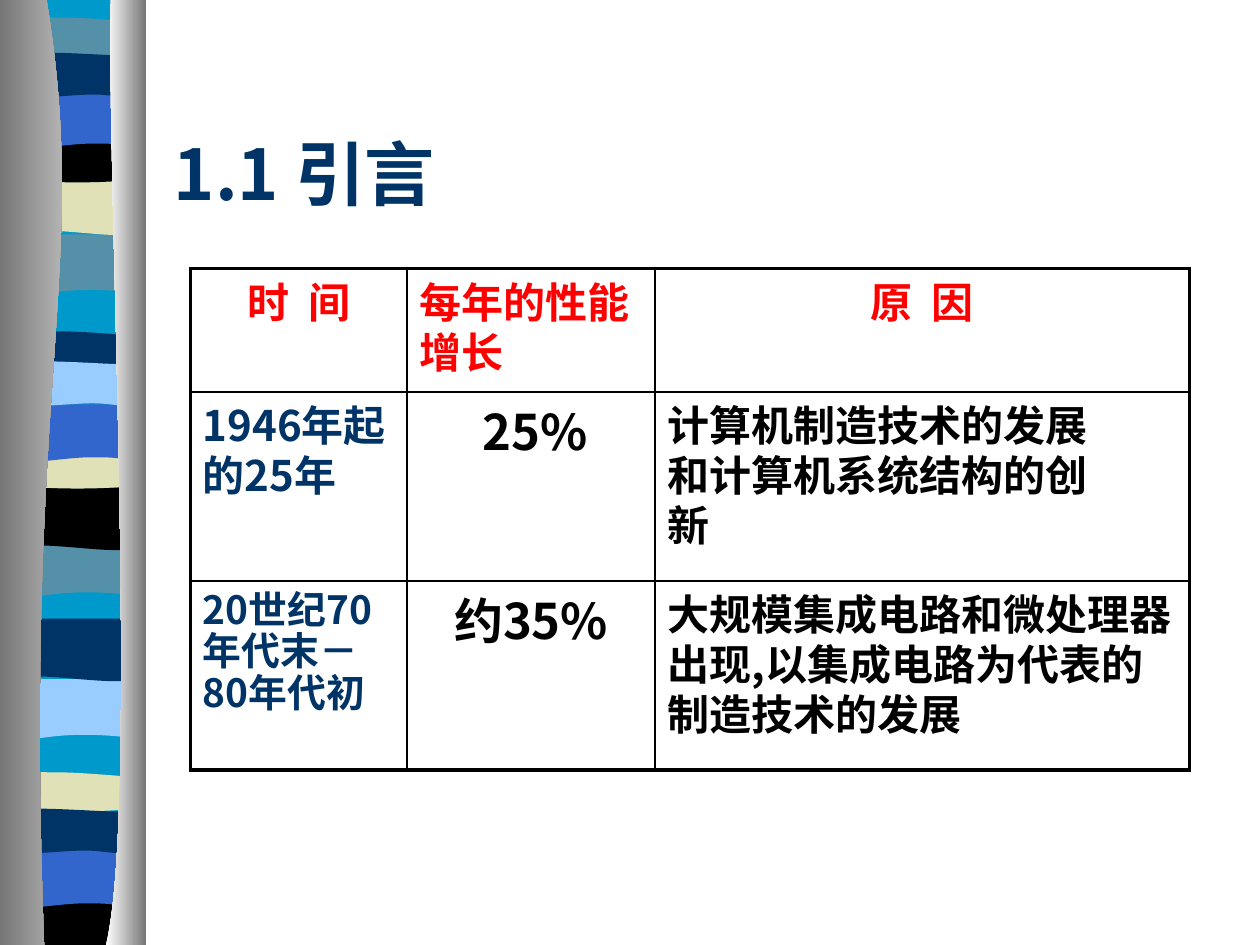
from lxml.etree import SubElement
from pptx import Presentation
from pptx.dml.color import RGBColor
from pptx.enum.text import MSO_ANCHOR, PP_ALIGN
from pptx.oxml import parse_xml
from pptx.oxml.ns import nsdecls, qn
from pptx.util import Inches, Pt

NAVY = RGBColor(0x00, 0x33, 0x66)
BLUE = RGBColor(0x33, 0x66, 0xCC)
CYAN = RGBColor(0x00, 0x99, 0xCC)
TEAL = RGBColor(0x54, 0x90, 0xA8)
SKY = RGBColor(0x99, 0xCC, 0xFF)
SAND = RGBColor(0xE1, 0xE1, 0xB7)
BLACK = RGBColor(0x00, 0x00, 0x00)
WHITE = RGBColor(0xFF, 0xFF, 0xFF)
GRAY = RGBColor(0x76, 0x76, 0x76)
SILVER = RGBColor(0xD0, 0xD0, 0xD0)
RED = RGBColor(0xFF, 0x00, 0x00)

SANS = "Noto Sans CJK SC"
ARIAL = "Arial"
LEFT, MID = PP_ALIGN.LEFT, PP_ALIGN.CENTER

# Outlines: a pair is a corner, six numbers are a Bezier curve.
SWELL = [(1.03, 0), (1.03, .47), (.32, .38, .17, .54, 0, .47), (0, 0)]
DIP = [(1.02, 0), (1.02, .47), (.85, .55, .31, .42, 0, .47), (0, 0)]
LENS = [(1.02, 0), (1.02, .24), (.85, .28, .17, .28, 0, .24), (0, 0),
        (.07, -.05, .22, -.04, .39, -.04), (.56, -.04, .89, -.01, 1.02, 0)]
BOWL = [(1.03, 0), (1.03, .33), (.86, .38, .17, .38, 0, .33), (0, 0),
        (.63, .05, .81, 0, 1.03, 0)]
ARCH = [(1.02, 0), (1.02, .47), (.86, .42, .79, .42, .62, .42),
        (.45, .42, .15, .47, 0, .47), (0, 0)]
FLAG = [(1.02, 0), (1.02, .31), (.95, .36, .8, .31, .63, .31),
        (.46, .31, .1, .36, 0, .31), (0, 0), (.14, -.05, .69, 0, .86, 0)]
BASE = [(1.02, 0), (1.02, .38), (0, .38), (0, 0), (.63, .05, .81, 0, 1.02, 0)]
BACK = [(0, 0), (1.02, 0), (1.02, 7.47), (0, 7.47)]
EDGE_L = [(.37, 0), (.72, 2.16, .18, 2.96, .35, 7.5), (0, 7.5), (0, 0)]
EDGE_R = [(.04, 0), (0, 1.25, .27, 6.46, 0, 7.5), (.32, 7.5), (.32, 0)]

# Outline, left, top, colour
BANDS = [
    (BACK, .11, 0, CYAN),
    (SWELL, .1, 1.86, TEAL), (DIP, .13, 1.37, SAND), (LENS, .13, .18, TEAL),
    (BOWL, .1, 1.08, BLACK), (ARCH, .11, .72, BLUE), (FLAG, .11, .44, NAVY),
    (SWELL, .07, 4.26, TEAL), (DIP, .1, 3.87, BLACK), (LENS, .1, 2.67, NAVY),
    (BOWL, .1, 3.51, SAND), (ARCH, .1, 3.21, BLUE), (FLAG, .1, 2.89, SKY),
    (SWELL, .05, 5.39, SKY), (DIP, .08, 4.91, NAVY), (LENS, .07, 6.17, SAND),
    (BASE, .07, 7.12, BLACK), (ARCH, .05, 6.75, BLUE), (FLAG, .04, 6.44, NAVY),
]

# Text, size, font, colour, alignment, left margin, right margin, line spacing
ROWS = [
    [("时  间", 24, ARIAL, RED, MID, .1, .1, .82),
     ("每年的性能增长", 24, ARIAL, RED, LEFT, .1, .1, .82),
     ("原  因", 24, ARIAL, RED, MID, .1, .1, .82)],
    [("1946年起的25年", 24, SANS, NAVY, LEFT, .1, .1, .82),
     ("25%", 28, SANS, BLACK, LEFT, .6, .1, .86),
     ("计算机制造技术的发展和计算机系统结构的创新", 24, ARIAL, BLACK, LEFT, .1, .6, .82)],
    [("20世纪70年代末－80年代初", 22.2, SANS, NAVY, LEFT, .1, .03, .74),
     ("约35%", 28, SANS, BLACK, MID, .1, .1, .86),
     ("大规模集成电路和微处理器出现,以集成电路为代表的制造技术的发展",
      24, SANS, BLACK, LEFT, .1, .1, .82)],
]
COLS = [1.72, 1.97, 4.24]
HEIGHTS = [.98, 1.5, 1.5]


def bend(form, path):
    """Join the three straight steps of each curve into one Bezier."""
    lines = iter(list(form._element.iter(qn("a:lnTo"))))
    for seg in path[1:]:
        curve = next(lines)
        if len(seg) == 6:
            curve.tag = qn("a:cubicBezTo")
            for _ in range(2):
                step = next(lines)
                curve.append(step[0])
                step.getparent().remove(step)


def add_form(slide, path, left, top):
    pts = [(Inches(left + seg[i]), Inches(top + seg[i + 1]))
           for seg in path for i in range(0, len(seg), 2)]
    pen = slide.shapes.build_freeform(*pts[0])
    pen.add_line_segments(pts[1:], close=False)
    form = pen.convert_to_shape()
    bend(form, path)
    SubElement(next(form._element.iter(qn("a:path"))), qn("a:close"))
    form.shadow.inherit = False
    form.line.fill.background()
    return form


def add_ribbon(slide, left, top):
    for path, x, y, color in BANDS:
        fill = add_form(slide, path, left + x, top + y).fill
        fill.solid()
        fill.fore_color.rgb = color
    for path, x, ends in ((EDGE_L, 0, (GRAY, SILVER)),
                          (EDGE_R, .84, (WHITE, GRAY))):
        fill = add_form(slide, path, left + x, top).fill
        fill.gradient()
        fill.gradient_angle = 0
        for stop, color in zip(fill.gradient_stops, ends):
            stop.color.rgb = color


def add_run(para, text, size, name, color):
    run = para.add_run()
    run.text = text
    font = run.font
    font.size, font.name, font.bold = Pt(size), name, True
    font.color.rgb = color
    SubElement(font._element, qn("a:ea")).set("typeface", SANS)


def add_title(slide, left, top, width, height):
    title = slide.shapes.title
    title.left, title.top = Inches(left), Inches(top)
    title.width, title.height = Inches(width), Inches(height)
    frame = title.text_frame
    frame.vertical_anchor = MSO_ANCHOR.BOTTOM
    para = frame.paragraphs[0]
    para.alignment = LEFT
    add_run(para, "1.1 引言", 40, SANS, NAVY)


def set_edges(cell, row, col):
    """Draw thick borders on the outside of the table, thin ones within."""
    outer = {"L": col == 0, "R": col == len(COLS) - 1,
             "T": row == 0, "B": row == len(ROWS) - 1}
    props = cell._tc.get_or_add_tcPr()
    for n, (side, thick) in enumerate(outer.items()):
        props.insert(n, parse_xml(
            f'<a:ln{side} {nsdecls("a")} w="{Pt(2.25 if thick else 1)}">'
            f'<a:solidFill><a:srgbClr val="{BLACK}"/></a:solidFill></a:ln{side}>'))


def add_grid(slide, left, top):
    table = slide.shapes.add_table(
        len(ROWS), len(COLS), Inches(left), Inches(top),
        Inches(sum(COLS)), Inches(sum(HEIGHTS))).table
    table.first_row = table.horz_banding = False
    for col, width in zip(table.columns, COLS):
        col.width = Inches(width)
    for r, cells in enumerate(ROWS):
        table.rows[r].height = Inches(HEIGHTS[r])
        for c, (text, size, name, color, align, near, far, gap) in enumerate(cells):
            cell = table.cell(r, c)
            cell.fill.background()
            cell.margin_left, cell.margin_right = Inches(near), Inches(far)
            cell.margin_top, cell.margin_bottom = Inches(.08), Inches(.02)
            set_edges(cell, r, c)
            para = cell.text_frame.paragraphs[0]
            para.alignment, para.line_spacing = align, gap
            add_run(para, text, size, name, color)


def main():
    deck = Presentation()
    deck.slide_width, deck.slide_height = Inches(10), Inches(7.5)
    slide = deck.slides.add_slide(deck.slide_layouts[5])
    add_ribbon(slide, 0, 0)
    add_title(slide, 1.28, .98, 8.5, .77)
    add_grid(slide, 1.51, 2.13)
    deck.save("out.pptx")


if __name__ == "__main__":
    main()
